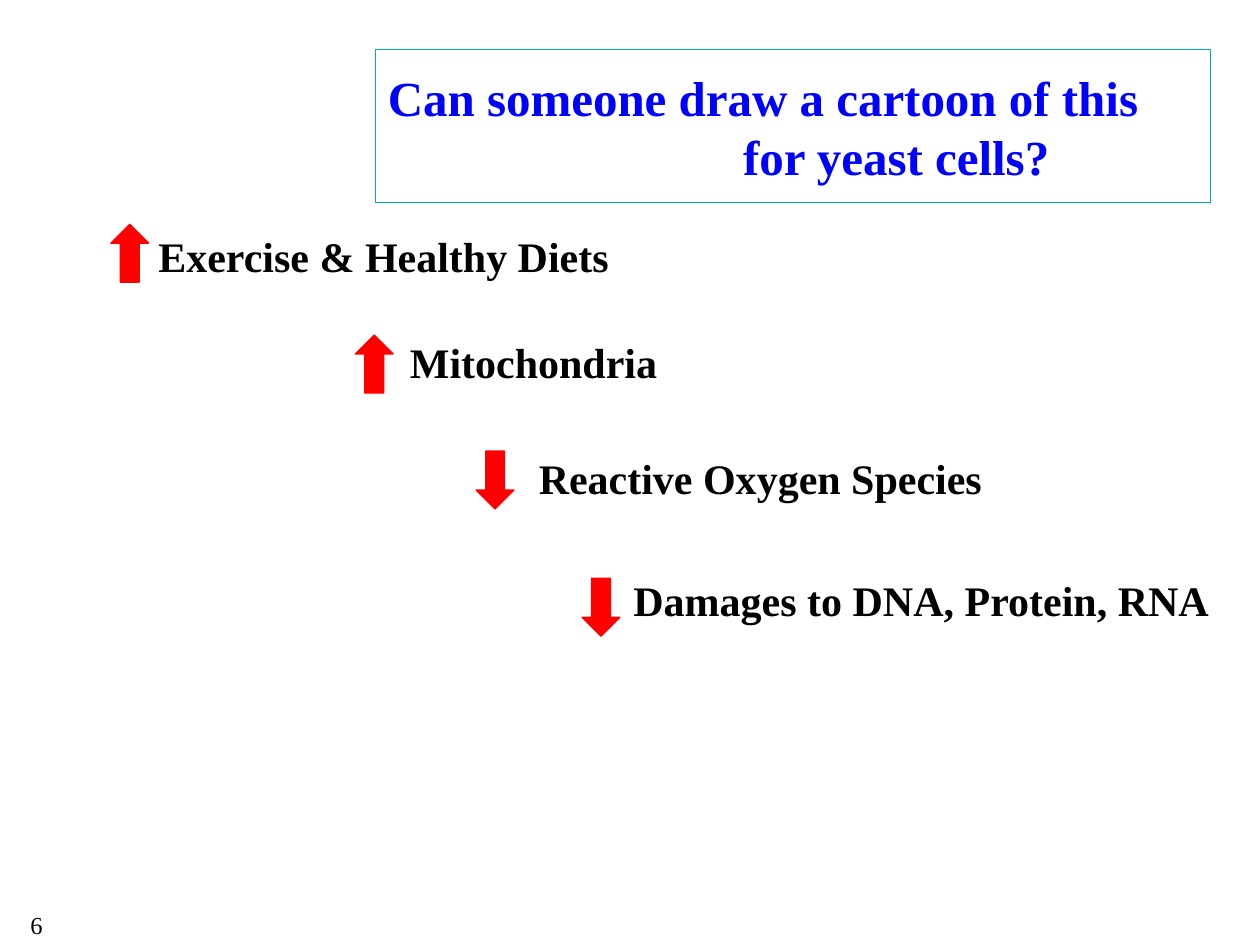
from pptx import Presentation
from pptx.dml.color import RGBColor
from pptx.enum.shapes import MSO_SHAPE as Shape
from pptx.enum.text import MSO_ANCHOR as Anchor, PP_ALIGN as Align
from pptx.util import Inches, Pt

COLORS = {"text": "000000", "title": "0000FF", "frame": "00ADAD", "arrow": "FF0000"}
FONT = "Times New Roman"
ARROW_SIZE = (0.3, 0.46)
LABEL_HEIGHT = 0.5

# Label, its left, top and width, then its arrow's direction, left and top
STEPS = [
    ("Exercise & Healthy Diets", (0.88, 1.78, 4.33), Shape.UP_ARROW, (0.88, 1.78)),
    ("Mitochondria", (2.85, 2.62, 2.77), Shape.UP_ARROW, (2.82, 2.66)),
    ("Reactive Oxygen Species", (3.66, 3.54, 4.75), Shape.DOWN_ARROW, (3.78, 3.58)),
    ("Damages to DNA, Protein, RNA", (4.62, 4.51, 5.38), Shape.DOWN_ARROW, (4.62, 4.59)),
]


def color(name):
    return RGBColor.from_string(COLORS[name])


def add_text(slide, text, box, size=24, bold=True, ink="text",
             align=Align.CENTER, anchor=Anchor.TOP, indents=()):
    """Add a text box; indents gives the left margin of each line in inches."""
    label = slide.shapes.add_textbox(*map(Inches, box))
    frame = label.text_frame
    frame.word_wrap = True
    frame.vertical_anchor = anchor
    frame.text = text
    for paragraph in frame.paragraphs:
        paragraph.alignment = align
        font = paragraph.font
        font.name, font.size, font.bold = FONT, Pt(size), bold
        font.color.rgb = color(ink)
    for paragraph, indent in zip(frame.paragraphs, indents):
        paragraph._p.get_or_add_pPr().set("marL", str(Inches(indent)))
    return label


def add_title(slide):
    title = add_text(slide, "Can someone draw a cartoon of this\nfor yeast cells?",
                     (2.98, 0.39, 6.63, 1.22), size=28, ink="title",
                     align=Align.LEFT, anchor=Anchor.MIDDLE, indents=(0, 2.82))
    title.line.color.rgb = color("frame")
    title.line.width = Pt(0.75)


def add_arrow(slide, direction, position):
    arrow = slide.shapes.add_shape(direction, *map(Inches, position + ARROW_SIZE))
    arrow.shadow.inherit = False
    arrow.fill.solid()
    arrow.fill.fore_color.rgb = color("arrow")
    arrow.line.color.rgb = color("arrow")
    arrow.line.width = Pt(0.75)


def main():
    deck = Presentation()
    deck.slide_width, deck.slide_height = Inches(10), Inches(7.5)
    slide = deck.slides.add_slide(deck.slide_layouts[6])

    add_text(slide, "6", (-0.45, 7.17, 1.48, 0.33), size=14, bold=False)
    add_title(slide)
    for label, place, direction, arrow_position in STEPS:
        add_text(slide, label, (*place, LABEL_HEIGHT))
        add_arrow(slide, direction, arrow_position)

    deck.save("out.pptx")


if __name__ == "__main__":
    main()
